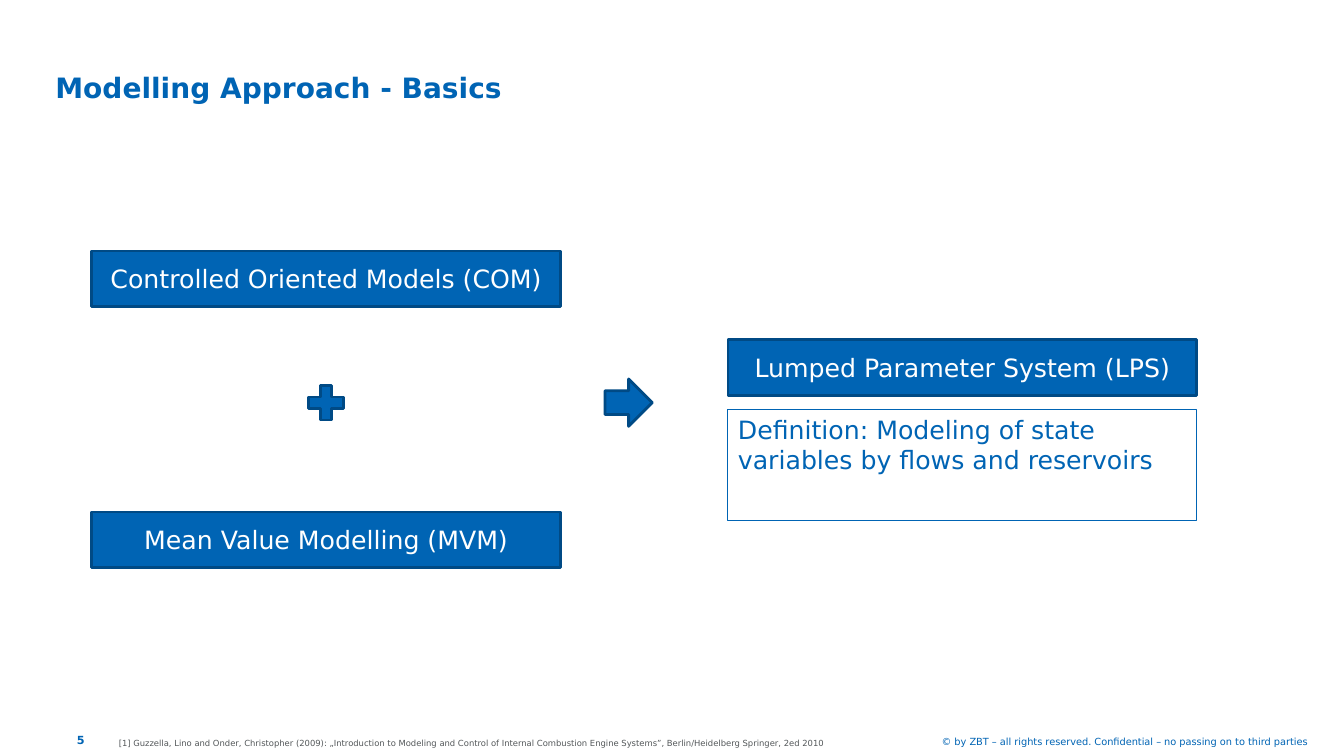
from dataclasses import dataclass

import pptx
import pptx.dml.color
import pptx.enum.shapes
import pptx.enum.text
import pptx.util

Inches = pptx.util.Inches
Pt = pptx.util.Pt
RGB = pptx.dml.color.RGBColor.from_string
SHAPE = pptx.enum.shapes.MSO_SHAPE
ALIGN = pptx.enum.text.PP_ALIGN
ANCHOR = pptx.enum.text.MSO_ANCHOR


@dataclass(frozen=True)
class Theme:
    font: str = "DejaVu Sans"
    blue: str = "0064B4"
    dark_blue: str = "004A85"
    grey: str = "54585A"
    white: str = "FFFFFF"
    title: int = 20
    body: int = 18
    page: int = 8
    notice: int = 7
    citation: int = 6
    border: float = 2
    thin: float = 0.75


THEME = Theme()
BOX_W, BOX_H, ICON = 4.65, 0.55, 0.47
INSETS = (0.1, 0.05, 0.1, 0.05)


def write(sp, text, size, color, align=ALIGN.LEFT, anchor=ANCHOR.MIDDLE,
          bold=False, insets=INSETS, wrap=True):
    tf = sp.text_frame
    tf.text = text
    tf.word_wrap = wrap
    tf.vertical_anchor = anchor
    (tf.margin_left, tf.margin_top,
     tf.margin_right, tf.margin_bottom) = map(Inches, insets)
    p = tf.paragraphs[0]
    p.alignment = align
    font = p.runs[0].font
    font.name, font.size, font.bold = THEME.font, Pt(size), bold
    font.color.rgb = RGB(color)
    return p


def add_text(s, box, text, size, color, **style):
    return write(s.shapes.add_textbox(*map(Inches, box)), text, size, color, **style)


def add_block(s, kind, box, fill=THEME.blue, line=THEME.dark_blue, width=THEME.border):
    sp = s.shapes.add_shape(kind, *map(Inches, box))
    sp.shadow.inherit = False
    if fill:
        sp.fill.solid()
        sp.fill.fore_color.rgb = RGB(fill)
    else:
        sp.fill.background()
    sp.line.color.rgb = RGB(line)
    sp.line.width = Pt(width)
    return sp


def add_label(s, x, y, text):
    sp = add_block(s, SHAPE.RECTANGLE, (x, y, BOX_W, BOX_H))
    write(sp, text, THEME.body, THEME.white, align=ALIGN.CENTER)


def add_models(s, x, y, height):
    """Two model names at the top and bottom of the column, a plus between them."""
    add_label(s, x, y, "Controlled Oriented Models (COM)")
    add_label(s, x, y + height - BOX_H, "Mean Value Modelling (MVM)")
    add_block(s, SHAPE.MATH_PLUS, (x + (BOX_W - ICON) / 2, 3.76, ICON, ICON))


def add_result(s, x, y):
    """System name with its definition below."""
    add_label(s, x, y, "Lumped Parameter System (LPS)")
    sp = add_block(s, SHAPE.RECTANGLE, (x, y + 0.69, BOX_W, 2 * BOX_H),
                   fill=None, line=THEME.blue, width=THEME.thin)
    write(sp, "Definition: Modeling of state variables by flows and reservoirs",
          THEME.body, THEME.blue, anchor=ANCHOR.TOP)


def add_footer(s):
    flush = dict(align=ALIGN.RIGHT, anchor=ANCHOR.BOTTOM, insets=(0, 0, 0, 0))
    add_text(s, (0.47, 7.28, 0.37, 0.13), "5", THEME.page, THEME.blue,
             bold=True, **flush)
    add_text(s, (9.23, 7.3, 3.74, 0.12),
             "© by ZBT – all rights reserved. Confidential – no passing on to third parties",
             THEME.notice, THEME.blue, wrap=False, **flush)
    p = add_text(s, (1.08, 7.19, 7.27, 0.28),
                 "[1] Guzzella, Lino and Onder, Christopher (2009): „Introduction to "
                 "Modeling and Control of Internal Combustion Engine Systems”, "
                 "Berlin/Heidelberg Springer, 2ed 2010",
                 THEME.citation, THEME.grey, anchor=ANCHOR.BOTTOM,
                 insets=(0.1, 0, 0.1, 0.05))
    p.line_spacing = 1.2


def add_basics_slide(prs):
    s = prs.slides.add_slide(prs.slide_layouts[6])
    add_text(s, (0.45, 0.48, 10.19, 0.77), "Modelling Approach - Basics",
             THEME.title, THEME.blue, bold=True)
    add_models(s, 0.91, 2.49, 3.14)
    add_block(s, SHAPE.RIGHT_ARROW, (6, 3.76, ICON, ICON))
    add_result(s, 7.22, 3.37)
    add_footer(s)


def main():
    prs = pptx.Presentation()
    prs.slide_width, prs.slide_height = Inches(13.33), Inches(7.5)
    add_basics_slide(prs)
    prs.save("out.pptx")


if __name__ == "__main__":
    main()
